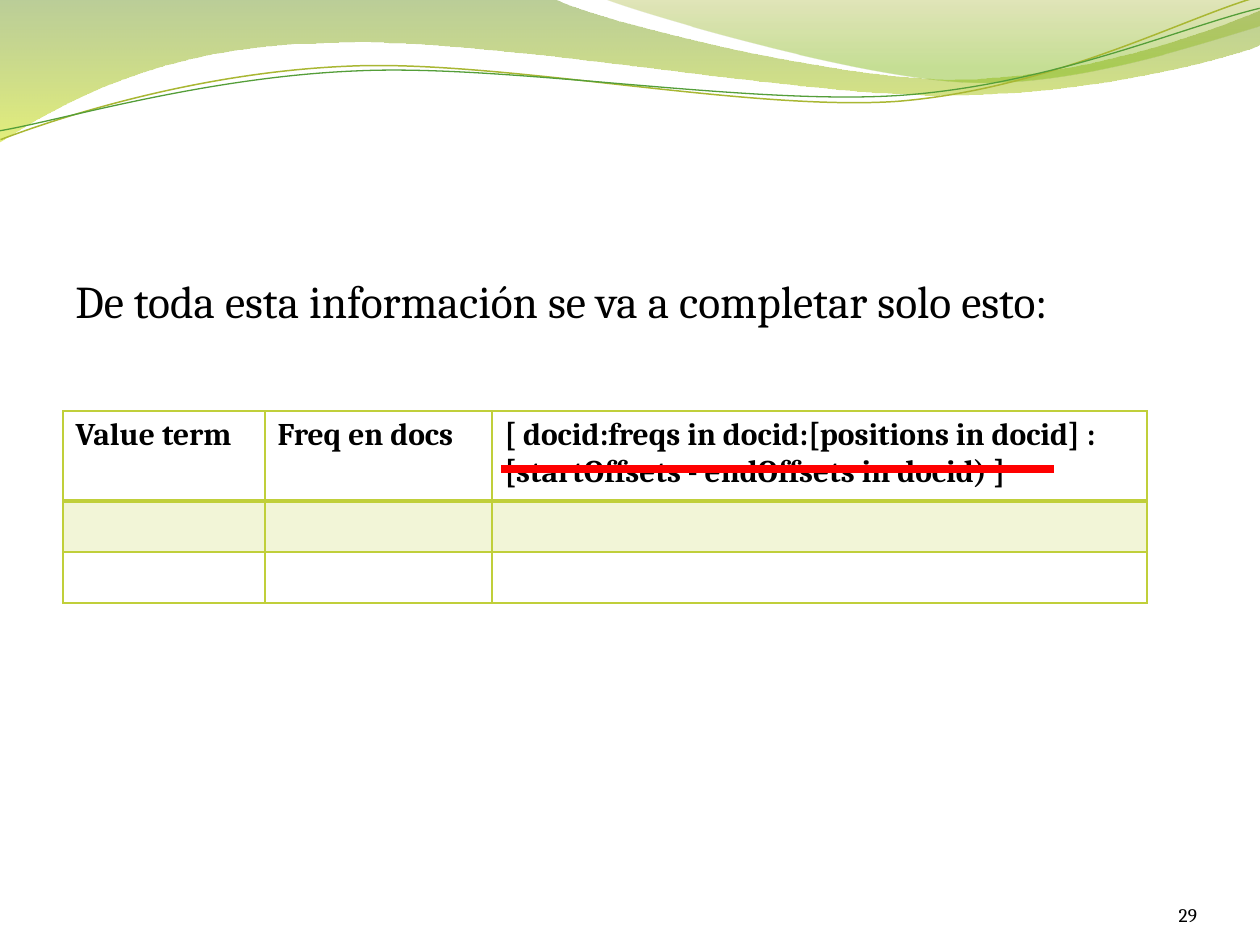
import dataclasses

import lxml.etree
import pptx
import pptx.dml.color
import pptx.enum.shapes
import pptx.enum.text
import pptx.oxml.ns
import pptx.util

EMU_PER_PX = 914400 / 126


@dataclasses.dataclass(frozen=True)
class Theme:
    font: str = "Cambria"
    text: str = "000000"
    lime: str = "C0CF3A"
    strike: str = "FF0000"
    olive_line: str = "A9B733"
    green_line: str = "549E39"
    # Gradient stops: position, colour, opacity in percent
    left_wave: tuple = ((0, "69921C", 45), (1, "CCE10F", 55))
    right_wave: tuple = ((0, "9BAA1A", 30), (0.8, "81BA16", 45))
    band_opacity: int = 20
    body_size: int = 26
    table_size: int = 18
    number_size: int = 11


THEME = Theme()

# Outlines: two numbers are a straight step, six numbers a Bezier step
LEFT_WAVE = [
    (0, 0), (554, -1),
    (598, 21, 835, 79, 955, 79), (1075, 79, 1207, 33, 1260, 11),
    (1261, 45),
    (1239, 55, 1095, 96, 940, 95), (784, 95, 480, 35, 324, 43),
    (162, 45, 58, 105, -1, 142),
]
RIGHT_WAVE = [
    (604, -1),
    (641, 14, 859, 78, 968, 82), (1077, 87, 1211, 40, 1260, 26),
    (1260, 0),
]
# The two thin curves are drawn level and then tilted
CURVE_TILT = 357.3
OLIVE_CURVE = [
    (-2, 110),
    (59, 90, 199, 52, 349, 53), (499, 53, 744, 117, 895, 114),
    (1049, 109, 1184, 45, 1259, 27),
]
GREEN_CURVE = [
    (-2, 101),
    (57, 94, 205, 57, 357, 58), (508, 58, 750, 112, 902, 108),
    (1052, 104, 1187, 52, 1262, 38),
]

HEADERS = [
    "Value term",
    "Freq en docs",
    "[ docid:freqs in docid:[positions in docid] :[startOffsets - endOffsets in docid) ]",
]
COLUMN_WIDTHS = [202, 227, 655]
ROW_HEIGHTS = [90, 51, 51]


def px(length):
    return pptx.util.Emu(round(length * EMU_PER_PX))


def rgb(value):
    return pptx.dml.color.RGBColor.from_string(value)


def add_child(parent, tag, **attributes):
    return lxml.etree.SubElement(parent, pptx.oxml.ns.qn(tag), attributes)


def set_opacity(fill_element, percents):
    colors = fill_element.iter(pptx.oxml.ns.qn("a:srgbClr"))
    for color, percent in zip(colors, percents):
        add_child(color, "a:alpha", val=str(percent * 1000))


def bend_segments(shape, steps):
    """Turn the straight segments of the Bezier steps into curves."""
    segments = list(shape._element.iter(pptx.oxml.ns.qn("a:lnTo")))
    for segment, step in zip(segments, steps[1:]):
        if len(step) == 2:
            continue
        curve = lxml.etree.Element(pptx.oxml.ns.qn("a:cubicBezTo"))
        for x, y in zip(step[::2], step[1::2]):
            add_child(curve, "a:pt", x=str(px(x) - shape.left),
                      y=str(px(y) - shape.top))
        segment.getparent().replace(segment, curve)


def add_outline(slide, steps, close):
    start, *ends = [(px(step[-2]), px(step[-1])) for step in steps]
    builder = slide.shapes.build_freeform(*start, scale=1.0)
    builder.add_line_segments(ends, close=close)
    shape = builder.convert_to_shape()
    bend_segments(shape, steps)
    shape.shadow.inherit = False
    return shape


def add_wave(slide, steps, stops):
    shape = add_outline(slide, steps, close=True)
    shape.line.fill.background()
    shape.fill.gradient()
    shape.fill.gradient_angle = 270
    for stop, (position, color, _) in zip(shape.fill.gradient_stops, stops):
        stop.position = position
        stop.color.rgb = rgb(color)
    gradient = shape._element.spPr.find(pptx.oxml.ns.qn("a:gradFill"))
    set_opacity(gradient, [opacity for _, _, opacity in stops])


def add_curve(slide, steps, color, width):
    shape = add_outline(slide, steps, close=False)
    shape.rotation = CURVE_TILT
    shape.fill.background()
    shape.line.color.rgb = rgb(color)
    shape.line.width = pptx.util.Pt(width)


def format_runs(paragraph, size, bold=False):
    for run in paragraph.runs:
        run.font.name = THEME.font
        run.font.size = pptx.util.Pt(size)
        run.font.bold = bold
        run.font.color.rgb = rgb(THEME.text)


def add_text(slide, box, text, size, alignment):
    frame = slide.shapes.add_textbox(*map(px, box)).text_frame
    frame.word_wrap = True
    frame.text = text
    paragraph = frame.paragraphs[0]
    paragraph.alignment = alignment
    format_runs(paragraph, size)
    return frame


def set_borders(cell, bottom_width):
    properties = cell._tc.get_or_add_tcPr()
    for side in ("L", "R", "T", "B"):
        width = bottom_width if side == "B" else 1
        line = add_child(properties, f"a:ln{side}", w=str(pptx.util.Pt(width)))
        add_child(add_child(line, "a:solidFill"), "a:srgbClr", val=THEME.lime)


def add_index_table(slide, left, top):
    frame = slide.shapes.add_table(
        len(ROW_HEIGHTS), len(COLUMN_WIDTHS), px(left), px(top),
        px(sum(COLUMN_WIDTHS)), px(sum(ROW_HEIGHTS)))
    table = frame.table
    for column, width in zip(table.columns, COLUMN_WIDTHS):
        column.width = px(width)
    for index, (row, height) in enumerate(zip(table.rows, ROW_HEIGHTS)):
        row.height = px(height)
        for cell in row.cells:
            set_borders(cell, 2 if index == 0 else 1)
            if index == 1:
                cell.fill.solid()
                cell.fill.fore_color.rgb = rgb(THEME.lime)
                band = cell._tc.tcPr.find(pptx.oxml.ns.qn("a:solidFill"))
                set_opacity(band, [THEME.band_opacity])
            else:
                cell.fill.background()
    for cell, text in zip(table.rows[0].cells, HEADERS):
        cell.text_frame.text = text
        format_runs(cell.text_frame.paragraphs[0], THEME.table_size, bold=True)


def add_strike(slide, left, right, y):
    line = slide.shapes.add_connector(
        pptx.enum.shapes.MSO_CONNECTOR.STRAIGHT, px(left), px(y), px(right), px(y))
    line.line.color.rgb = rgb(THEME.strike)
    line.line.width = pptx.util.Pt(5)
    add_child(line._element.spPr, "a:effectLst")


def main():
    presentation = pptx.Presentation()
    presentation.slide_width, presentation.slide_height = px(1260), px(945)
    slide = presentation.slides.add_slide(presentation.slide_layouts[6])

    # Decorative header
    add_wave(slide, LEFT_WAVE, THEME.left_wave)
    add_wave(slide, RIGHT_WAVE, THEME.right_wave)
    add_curve(slide, OLIVE_CURVE, THEME.olive_line, 0.85)
    add_curve(slide, GREEN_CURVE, THEME.green_line, 0.75)

    # Statement and slide number
    align = pptx.enum.text.PP_ALIGN
    add_text(slide, (63, 267, 1134, 605),
             "De toda esta información se va a completar solo esto:",
             THEME.body_size, align.JUSTIFY)
    number = add_text(slide, (1092, 876, 105, 50), "29", THEME.number_size, align.RIGHT)
    number.vertical_anchor = pptx.enum.text.MSO_ANCHOR.BOTTOM
    number.margin_left = number.margin_right = 0
    number.margin_top = number.margin_bottom = 0

    # Index table with the offsets struck out
    add_index_table(slide, 63, 411)
    add_strike(slide, 501, 1054, 469)

    presentation.save("out.pptx")


if __name__ == "__main__":
    main()
